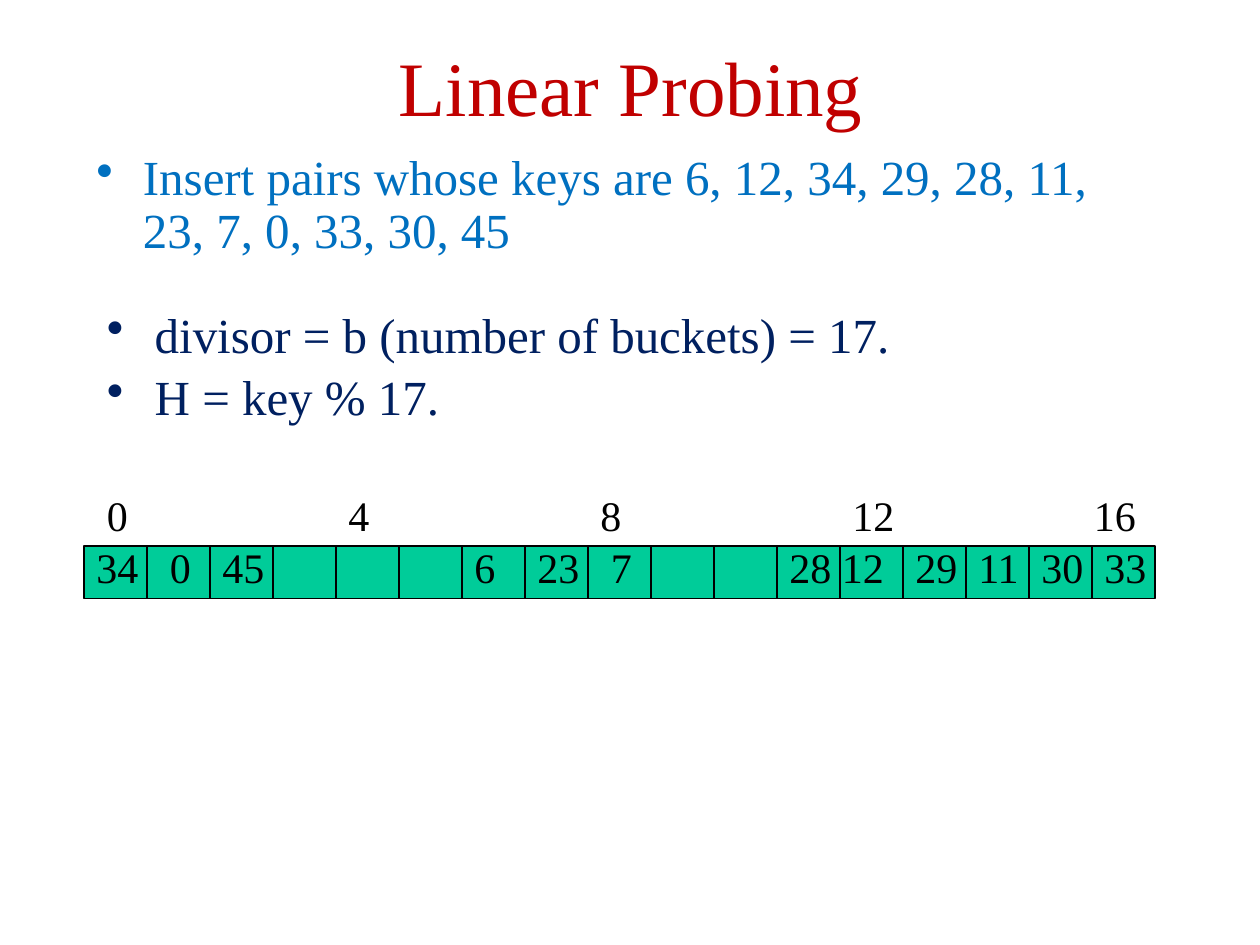
"""Build a slide showing a hash table filled by linear probing."""
from dataclasses import dataclass

import lxml.etree
import pptx
import pptx.dml.color
import pptx.enum.shapes
import pptx.enum.text
import pptx.oxml.ns
import pptx.slide
import pptx.text.text
import pptx.util

COLORS = {
    "title": "C00000",
    "task": "0070C0",
    "hash": "002060",
    "ink": "000000",
    "bucket": "00CC99",
}
FONT = "Times New Roman"
SLIDE_WIDTH, SLIDE_HEIGHT = 10, 7.5
GRID_COLUMNS, GRID_ROWS = 120, 90
BUCKET_COUNT, BUCKET_SPAN, BUCKET_HEIGHT = 17, 6, 5
TABLE_LEFT, TABLE_TOP = 8, 52
INDEX_ROW, KEY_ROW = 46, 51
NUMBER_HEIGHT = 6


@dataclass(frozen=True)
class Area:
    left: float
    top: float
    width: float
    height: float

    def emu(self) -> tuple[int, ...]:
        column = SLIDE_WIDTH / GRID_COLUMNS
        row = SLIDE_HEIGHT / GRID_ROWS
        return tuple(
            pptx.util.Inches(length)
            for length in (self.left * column, self.top * row,
                           self.width * column, self.height * row)
        )


@dataclass(frozen=True)
class Entry:
    bucket: int
    label: str
    width: float
    shift: float = 0


INDEXES = [
    Entry(0, "0", 6, 1),
    Entry(4, "4", 6),
    Entry(8, "8", 6),
    Entry(12, "12", 7),
    Entry(16, "16", 7, -1),
]
KEYS = [
    Entry(0, "34", 8),
    Entry(1, "0", 5, 1),
    Entry(2, "45", 10),
    Entry(6, "6", 5),
    Entry(7, "23", 8),
    Entry(8, "7", 5, 1),
    Entry(11, "28", 7),
    Entry(12, "12", 7, -1),
    Entry(13, "29", 7),
    Entry(14, "11", 7),
    Entry(15, "30", 7),
    Entry(16, "33", 7),
]


def rgb(name: str) -> pptx.dml.color.RGBColor:
    return pptx.dml.color.RGBColor.from_string(COLORS[name])


def add_bullet(paragraph: pptx.text.text._Paragraph, indent: float) -> None:
    properties = paragraph._p.get_or_add_pPr()
    properties.set("marL", str(pptx.util.Inches(indent)))
    properties.set("indent", str(-pptx.util.Inches(indent)))
    bullet = lxml.etree.SubElement(properties, pptx.oxml.ns.qn("a:buChar"))
    bullet.set("char", "•")


def add_text(slide: pptx.slide.Slide, area: Area, text: str, *, size: float = 24,
             color: str = "ink", centered: bool = False, middle: bool = False,
             line_spacing: float = 1, space_before: float = 0,
             bullet_indent: float = 0) -> None:
    frame = slide.shapes.add_textbox(*area.emu()).text_frame
    frame.word_wrap = True
    if middle:
        frame.vertical_anchor = pptx.enum.text.MSO_ANCHOR.MIDDLE
    frame.text = text
    for position, paragraph in enumerate(frame.paragraphs):
        if bullet_indent:
            add_bullet(paragraph, bullet_indent)
        if centered:
            paragraph.alignment = pptx.enum.text.PP_ALIGN.CENTER
        paragraph.line_spacing = line_spacing
        if position:
            paragraph.space_before = pptx.util.Pt(space_before)
        for run in paragraph.runs:
            run.font.name = FONT
            run.font.size = pptx.util.Pt(size)
            run.font.color.rgb = rgb(color)


def add_bucket(slide: pptx.slide.Slide, index: int) -> None:
    area = Area(TABLE_LEFT + index * BUCKET_SPAN, TABLE_TOP, BUCKET_SPAN, BUCKET_HEIGHT)
    bucket = slide.shapes.add_shape(
        pptx.enum.shapes.MSO_SHAPE.RECTANGLE, *area.emu())
    bucket.shadow.inherit = False
    bucket.fill.solid()
    bucket.fill.fore_color.rgb = rgb("bucket")
    bucket.line.color.rgb = rgb("ink")
    bucket.line.width = pptx.util.Pt(1)


def add_entries(slide: pptx.slide.Slide, entries: list[Entry], row: float) -> None:
    for entry in entries:
        left = TABLE_LEFT + entry.bucket * BUCKET_SPAN + entry.shift
        add_text(slide, Area(left, row, entry.width, NUMBER_HEIGHT), entry.label)


def main() -> None:
    presentation = pptx.Presentation()
    presentation.slide_width = pptx.util.Inches(SLIDE_WIDTH)
    presentation.slide_height = pptx.util.Inches(SLIDE_HEIGHT)
    slide = presentation.slides.add_slide(presentation.slide_layouts[6])

    add_text(slide, Area(9, 3.2, 102.2, 9.7), "Linear Probing", size=44,
             color="title", centered=True, middle=True, line_spacing=1.02)
    add_text(slide, Area(9, 29, 102, 12.6),
             "divisor = b (number of buckets) = 17.\nH = key % 17.", size=28,
             color="hash", line_spacing=0.9, space_before=5.6, bullet_indent=0.38)
    for index in range(BUCKET_COUNT):
        add_bucket(slide, index)
    add_entries(slide, INDEXES, INDEX_ROW)
    add_text(slide, Area(8, 14, 102, 12),
             "Insert pairs whose keys are 6, 12, 34, 29, 28, 11, 23, 7, 0, 33, 30, 45",
             size=28, color="task", line_spacing=0.9, bullet_indent=0.37)
    add_entries(slide, KEYS, KEY_ROW)

    presentation.save("out.pptx")


if __name__ == "__main__":
    main()
